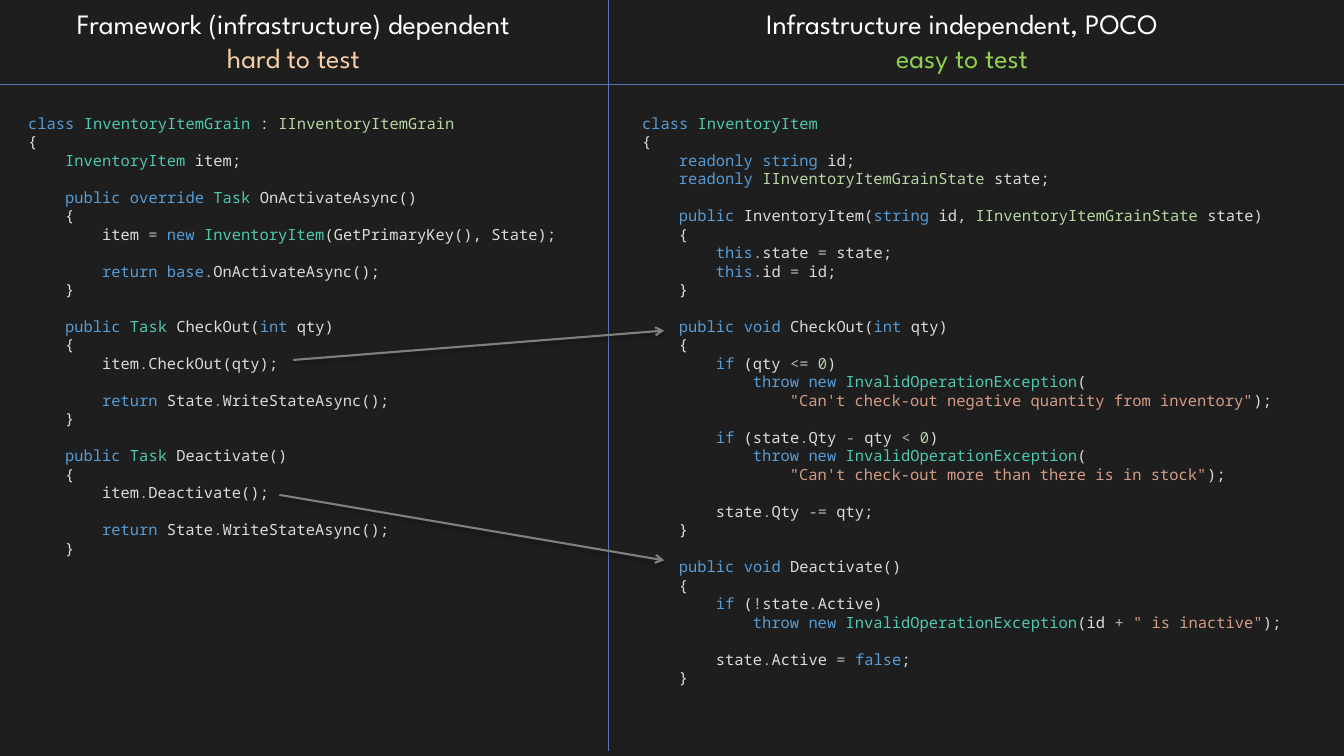
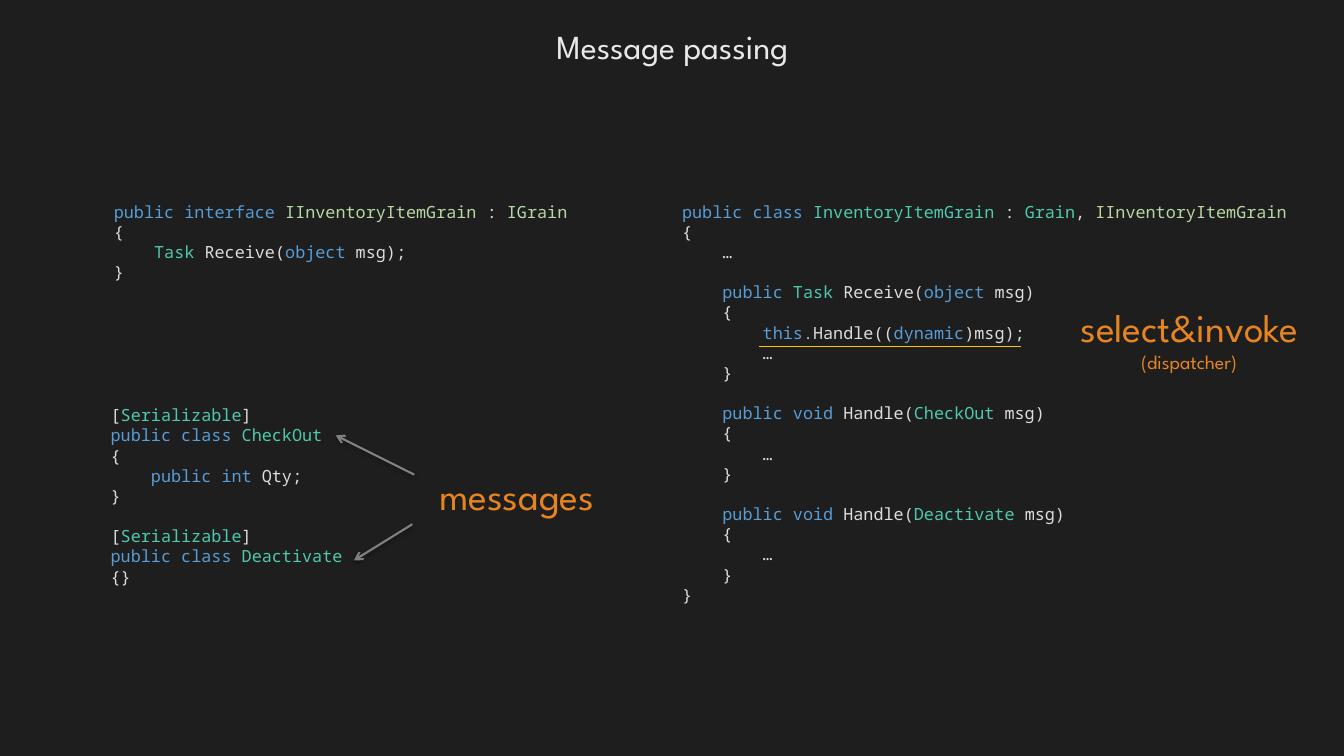
from dataclasses import dataclass
from itertools import groupby
from typing import Iterator

from lxml.etree import SubElement
from pptx import Presentation
from pptx.dml.color import RGBColor
from pptx.enum.shapes import MSO_CONNECTOR
from pptx.enum.text import MSO_ANCHOR, MSO_AUTO_SIZE, PP_ALIGN
from pptx.oxml.ns import qn
from pptx.shapes.base import BaseShape
from pptx.slide import Slide
from pptx.text.text import TextFrame, _Paragraph
from pptx.util import Cm, Pt

COLORS = {
    "background": "1E1E1E",
    "plain": "DCDCDC",
    "keyword": "569CD6",
    "type": "4EC9B0",
    "interface": "B8D7A3",
    "operator": "B4B4B4",
    "number": "B5CEA8",
    "string": "D69D85",
    "heading": "FFFFFF",
    "title": "E9E9E9",
    "hard": "F5CEA7",
    "easy": "92D050",
    "callout": "E68422",
    "divider": "5C72B2",
    "arrow": "808080",
    "underline": "FFC000",
    "shadow": "000000",
}
LABEL_FONT = "League Spartan"
CODE_FONT = "Noto Sans Mono"
LINE_PITCH = 1.2
CHAR_WIDTH = 0.6
TAB_CHARS = 4

KEYWORDS = set(
    "base class dynamic false if int interface new object override public "
    "readonly return string this throw void".split()
)
TYPES = set(
    "CheckOut Deactivate Grain InvalidOperationException InventoryItem "
    "InventoryItemGrain Serializable Task".split()
)

GRAIN_CODE = """
class InventoryItemGrain : IInventoryItemGrain
{
    InventoryItem item;

    public override Task OnActivateAsync()
    {
        item = new InventoryItem(GetPrimaryKey(), State);

        return base.OnActivateAsync();
    }

    public Task CheckOut(int qty)
    {
        item.CheckOut(qty);

        return State.WriteStateAsync();
    }

    public Task Deactivate()
    {
        item.Deactivate();

        return State.WriteStateAsync();
    }
"""

ITEM_CODE = """
class InventoryItem
{
    readonly string id;
    readonly IInventoryItemGrainState state;

    public InventoryItem(string id, IInventoryItemGrainState state)
    {
        this.state = state;
        this.id = id;
    }

    public void CheckOut(int qty)
    {
        if (qty <= 0)
            throw new InvalidOperationException(
                "Can't check-out negative quantity from inventory");

        if (state.Qty - qty < 0)
            throw new InvalidOperationException(
                "Can't check-out more than there is in stock");

        state.Qty -= qty;
    }

    public void Deactivate()
    {
        if (!state.Active)
            throw new InvalidOperationException(id + " is inactive");

        state.Active = false;
    }
"""

MESSAGES_CODE = """
[Serializable]
public class CheckOut
{
    public int Qty;
}

[Serializable]
public class Deactivate
{}
"""

INTERFACE_CODE = """
public interface IInventoryItemGrain : IGrain
{
    Task Receive(object msg);
}
"""

DISPATCH_CODE = """
public class InventoryItemGrain : Grain, IInventoryItemGrain
{
    …

    public Task Receive(object msg)
    {
        this.Handle((dynamic)msg);
        …
    }

    public void Handle(CheckOut msg)
    {
        …
    }

    public void Handle(Deactivate msg)
    {
        …
    }
}
"""


@dataclass(frozen=True)
class Box:
    """Left, top, width and height in centimetres."""
    left: float
    top: float
    width: float
    height: float

    def lengths(self) -> tuple[Cm, Cm, Cm, Cm]:
        return Cm(self.left), Cm(self.top), Cm(self.width), Cm(self.height)


@dataclass(frozen=True)
class Listing:
    box: Box
    code: str
    size: int


@dataclass(frozen=True)
class LabelLine:
    text: str
    size: int
    color: str


@dataclass(frozen=True)
class Label:
    box: Box
    lines: list[LabelLine]


@dataclass(frozen=True)
class Line:
    """Start and end points in centimetres."""
    start: tuple[float, float]
    end: tuple[float, float]
    color: str = "arrow"
    width: float = 1.5
    is_arrow: bool = True


def add_run(paragraph: _Paragraph, text: str, font: str, size: int, color: str) -> None:
    run = paragraph.add_run()
    run.text = text
    run.font.name = font
    run.font.size = Pt(size)
    run.font.color.rgb = RGBColor.from_string(COLORS[color])


def next_paragraph(frame: TextFrame, is_first: bool, size: int) -> _Paragraph:
    paragraph = frame.paragraphs[0] if is_first else frame.add_paragraph()
    paragraph.line_spacing = Pt(size * LINE_PITCH)
    return paragraph


def char_kind(char: str) -> str:
    if char.isalnum():
        return "word"
    return "operator" if char in ".=<-+!" else "plain"


def word_color(word: str, previous: str, following: str) -> str:
    if word in KEYWORDS:
        return "keyword"
    if word.isdigit():
        return "number"
    if following.startswith("(") and previous != "new":
        return "plain"
    if word in TYPES:
        return "type"
    return "interface" if word[0] == "I" and word[1:2].isupper() else "plain"


def tokens(line: str) -> Iterator[tuple[str, str]]:
    """Yield each piece of a code line with the name of its colour."""
    for index, part in enumerate(line.split('"')):
        if index % 2:
            yield f'"{part}"', "string"
            continue
        groups = [(kind, "".join(chars)) for kind, chars in groupby(part, char_kind)]
        previous = ""
        for place, (kind, text) in enumerate(groups):
            if kind == "word":
                following = groups[place + 1][1] if place + 1 < len(groups) else ""
                yield text, word_color(text, previous, following)
                previous = text
            else:
                yield text, kind


def add_listing(slide: Slide, listing: Listing) -> None:
    """Draw code, with indents as margins and empty lines as spacing."""
    frame = slide.shapes.add_textbox(*listing.box.lengths()).text_frame
    frame.word_wrap = True
    frame.auto_size = MSO_AUTO_SIZE.SHAPE_TO_FIT_TEXT
    after_gap = False
    for index, line in enumerate(listing.code.strip().splitlines()):
        code = line.lstrip()
        if not code:
            after_gap = True
            continue
        paragraph = next_paragraph(frame, index == 0, listing.size)
        level = (len(line) - len(code)) // TAB_CHARS
        margin = Pt(level * TAB_CHARS * CHAR_WIDTH * listing.size)
        paragraph._p.get_or_add_pPr().set("marL", str(margin))
        if after_gap:
            paragraph.space_before = Pt(listing.size * LINE_PITCH)
        after_gap = False
        for color, pieces in groupby(tokens(code), lambda token: token[1]):
            text = "".join(piece for piece, _ in pieces)
            add_run(paragraph, text, CODE_FONT, listing.size, color)


def fill_label(shape: BaseShape, label: Label) -> None:
    shape.left, shape.top, shape.width, shape.height = label.box.lengths()
    frame = shape.text_frame
    frame.word_wrap = False
    frame.auto_size = MSO_AUTO_SIZE.SHAPE_TO_FIT_TEXT
    frame.vertical_anchor = MSO_ANCHOR.TOP
    for index, line in enumerate(label.lines):
        paragraph = next_paragraph(frame, index == 0, line.size)
        paragraph.alignment = PP_ALIGN.CENTER
        add_run(paragraph, line.text, LABEL_FONT, line.size, line.color)


def add_line(slide: Slide, line: Line) -> None:
    points = [Cm(value) for value in (*line.start, *line.end)]
    connector = slide.shapes.add_connector(MSO_CONNECTOR.STRAIGHT, *points)
    connector.line.color.rgb = RGBColor.from_string(COLORS[line.color])
    connector.line.width = Pt(line.width)
    effects = SubElement(connector._element.spPr, qn("a:effectLst"))
    if line.is_arrow:
        SubElement(connector.line._get_or_add_ln(), qn("a:tailEnd"), type="arrow")
        shadow = SubElement(effects, qn("a:outerShdw"), blurRad=str(Pt(3.1)),
                            dist=str(Pt(1.6)), dir="5400000", rotWithShape="0")
        tint = SubElement(shadow, qn("a:srgbClr"), val=COLORS["shadow"])
        SubElement(tint, qn("a:alpha"), val="38000")


def add_contents(slide: Slide, listings: list[Listing], labels: list[Label],
                 lines: list[Line]) -> None:
    for listing in listings:
        add_listing(slide, listing)
    for label in labels:
        fill_label(slide.shapes.add_textbox(*label.box.lengths()), label)
    for line in lines:
        add_line(slide, line)


def main() -> None:
    prs = Presentation()
    prs.slide_width, prs.slide_height = Cm(33.87), Cm(19.05)
    background = prs.slide_master.background.fill
    background.solid()
    background.fore_color.rgb = RGBColor.from_string(COLORS["background"])

    comparison = prs.slides.add_slide(prs.slide_layouts[6])
    add_contents(
        comparison,
        [Listing(Box(0.46, 2.74, 15.27, 11.53), GRAIN_CODE, 11),
         Listing(Box(15.93, 2.74, 18.39, 15.29), ITEM_CODE, 11)],
        [Label(Box(0.46, 0.05, 13.87, 1.96),
               [LabelLine("Framework (infrastructure) dependent", 20, "heading"),
                LabelLine("hard to test", 20, "hard")]),
         Label(Box(17.96, 0.05, 12.57, 1.96),
               [LabelLine("Infrastructure independent, POCO", 20, "heading"),
                LabelLine("easy to test", 20, "easy")])],
        [Line((15.34, 0), (15.34, 18.92), "divider", 0.75, False),
         Line((0, 2.13), (33.87, 2.13), "divider", 0.75, False),
         Line((7.39, 9.07), (16.74, 8.33)),
         Line((7.04, 12.47), (16.74, 14.12))])

    passing = prs.slides.add_slide(prs.slide_layouts[5])
    fill_label(passing.shapes.title, Label(
        Box(13.16, 0.53, 7.57, 1.27), [LabelLine("Message passing", 24, "title")]))
    add_contents(
        passing,
        [Listing(Box(2.54, 10.08, 7.87, 4.88), MESSAGES_CODE, 12),
         Listing(Box(2.62, 4.95, 12.6, 2.31), INTERFACE_CODE, 12),
         Listing(Box(16.94, 4.95, 16.21, 10.52), DISPATCH_CODE, 12)],
        [Label(Box(10.39, 11.76, 5.26, 1.45), [LabelLine("messages", 28, "callout")]),
         Label(Box(26.31, 7.52, 7.32, 2.06),
               [LabelLine("select&invoke", 28, "callout"),
                LabelLine("(dispatcher)", 14, "callout")])],
        [Line((10.44, 11.96), (8.46, 10.97)),
         Line((10.39, 13.21), (8.92, 14.12)),
         Line((19.13, 8.74), (25.73, 8.74), "underline", 0.75, False)])

    prs.save("out.pptx")


if __name__ == "__main__":
    main()
